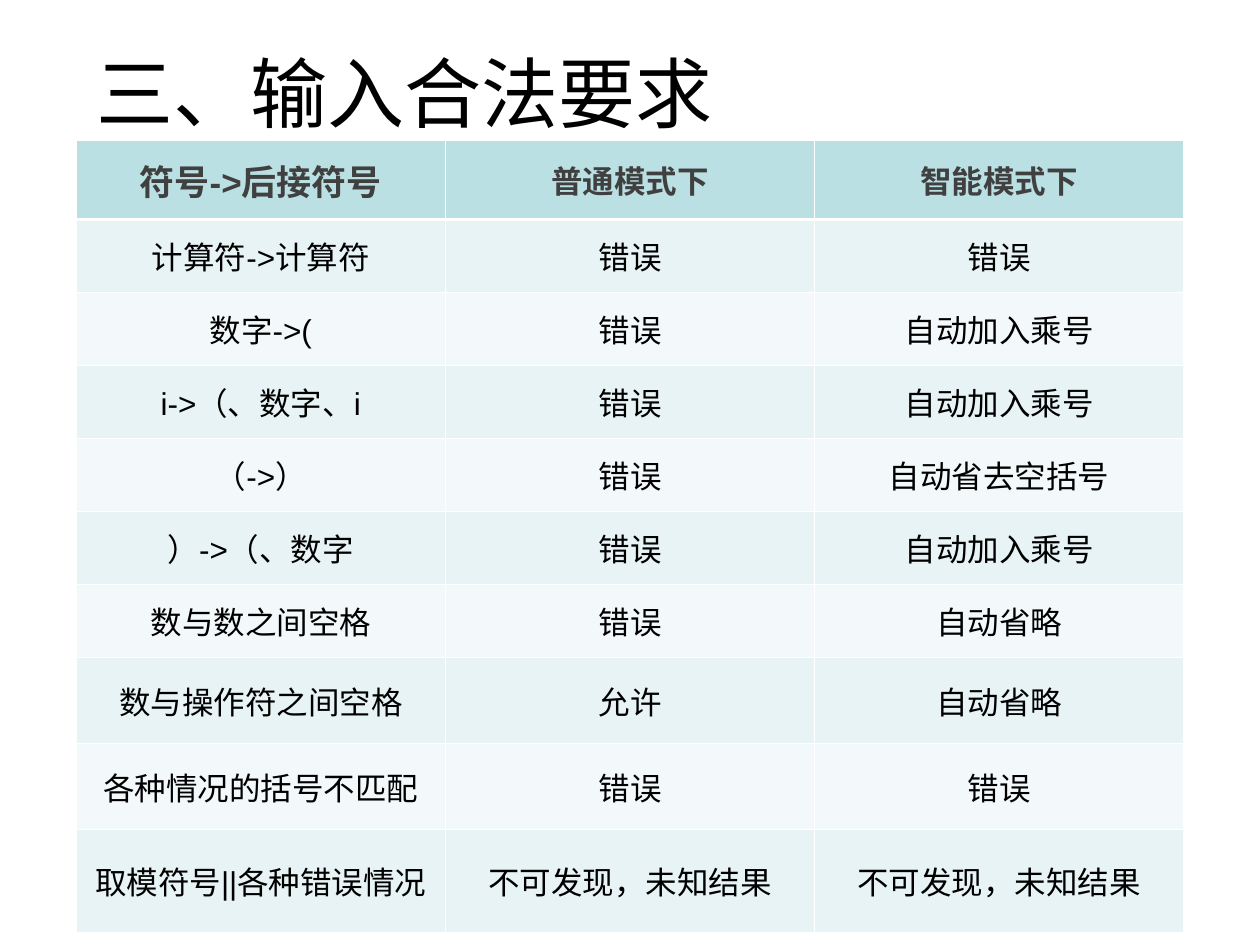
from lxml import etree
from pptx import Presentation
from pptx.dml.color import RGBColor
from pptx.enum.text import MSO_ANCHOR, PP_ALIGN
from pptx.oxml.ns import qn
from pptx.util import Pt

MIDDLE = MSO_ANCHOR.MIDDLE
CENTER = PP_ALIGN.CENTER

BLACK = RGBColor(0x00, 0x00, 0x00)
GRAY = RGBColor(0x40, 0x40, 0x40)
WHITE = RGBColor(0xFF, 0xFF, 0xFF)
TEAL = RGBColor(0xBB, 0xE0, 0xE3)
BANDS = (RGBColor(0xE7, 0xF3, 0xF4), RGBColor(0xF3, 0xF9, 0xFA))
FONT = "Arial"
THIN, THICK = Pt(0.45), Pt(1.47)

ROWS = [
    ("符号->后接符号", "普通模式下", "智能模式下"),
    ("计算符->计算符", "错误", "错误"),
    ("数字->(", "错误", "自动加入乘号"),
    ("i->（、数字、i", "错误", "自动加入乘号"),
    ("（->）", "错误", "自动省去空括号"),
    ("）->（、数字", "错误", "自动加入乘号"),
    ("数与数之间空格", "错误", "自动省略"),
    ("数与操作符之间空格", "允许", "自动省略"),
    ("各种情况的括号不匹配", "错误", "错误"),
    ("取模符号||各种错误情况", "不可发现，未知结果", "不可发现，未知结果"),
]
HEIGHTS = [45.4] + [41.7] * 6 + [49.5, 49, 59]


def style(para, size, color, bold=False):
    font = para.font
    font.name, font.size, font.bold = FONT, Pt(size), bold
    font.color.rgb = color


def add_title(slide, left, top, width, height):
    box = slide.shapes.add_textbox(Pt(left), Pt(top), Pt(width), Pt(height))
    frame = box.text_frame
    frame.word_wrap = True
    frame.vertical_anchor = MIDDLE
    frame.margin_left = Pt(19.4)
    frame.text = "三、输入合法要求"
    style(frame.paragraphs[0], 44, BLACK)


def add_edge(cell, side, width):
    props = cell._tc.get_or_add_tcPr()
    line = etree.SubElement(props, qn(f"a:ln{side}"), w=str(width))
    fill = etree.SubElement(line, qn("a:solidFill"))
    etree.SubElement(fill, qn("a:srgbClr"), val=str(WHITE))


def fill_cell(cell, text, row, col):
    head = row == 0
    cell.text = text
    cell.vertical_anchor = MIDDLE
    para = cell.text_frame.paragraphs[0]
    para.alignment = CENTER
    size = 20 if head and col == 0 else 18
    style(para, size, GRAY if head else BLACK, head)
    # Edges must come before the fill in the cell properties.
    for side in "LRTB":
        rule = (row, side) in ((0, "B"), (1, "T"))
        add_edge(cell, side, THICK if rule else THIN)
    cell.fill.solid()
    cell.fill.fore_color.rgb = TEAL if head else BANDS[(row - 1) % 2]


def add_rules(slide, left, top, width, height):
    count = len(ROWS[0])
    frame = slide.shapes.add_table(
        len(ROWS), count, Pt(left), Pt(top), Pt(width), Pt(height))
    table = frame.table
    for column in table.columns:
        column.width = Pt(width / count)
    for row, (texts, tall) in enumerate(zip(ROWS, HEIGHTS)):
        table.rows[row].height = Pt(tall)
        for col, text in enumerate(texts):
            fill_cell(table.cell(row, col), text, row, col)


def main():
    deck = Presentation()
    deck.slide_width, deck.slide_height = Pt(720), Pt(540)
    slide = deck.slides.add_slide(deck.slide_layouts[6])
    add_title(slide, 36, 7.2, 648, 90)
    add_rules(slide, 43.5, 80, 633, sum(HEIGHTS))
    deck.save("out.pptx")


if __name__ == "__main__":
    main()
